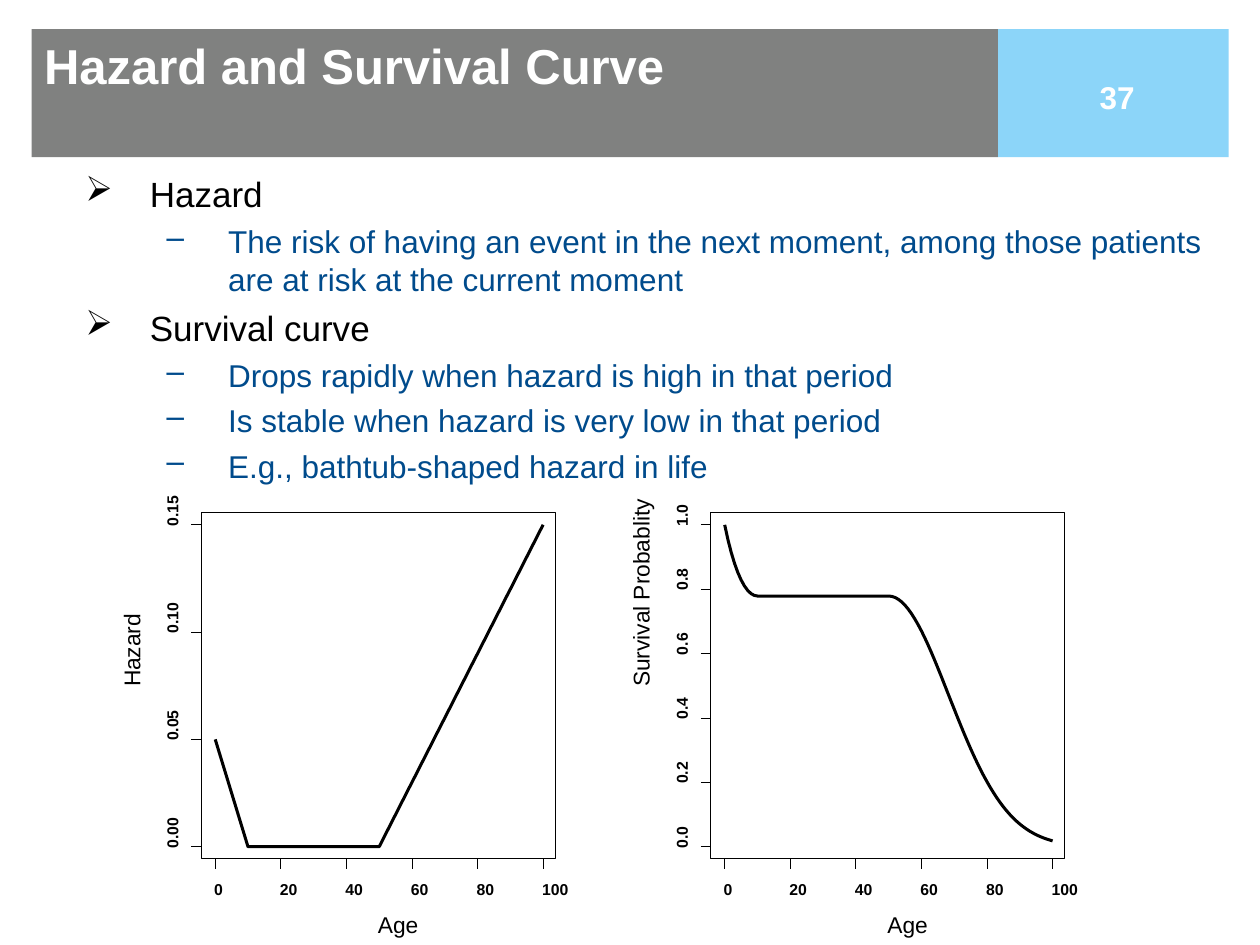
from dataclasses import dataclass
from itertools import accumulate
from math import exp

from lxml.etree import SubElement
from pptx import Presentation
from pptx.dml.color import RGBColor
from pptx.enum.shapes import MSO_CONNECTOR as CONN, MSO_SHAPE as SHAPE
from pptx.enum.text import MSO_ANCHOR as ANCHOR, PP_ALIGN as ALIGN
from pptx.oxml.ns import qn
from pptx.util import Cm, Pt

FONT = "Arial"
BLACK, WHITE, NAVY = "000000", "FFFFFF", "004B8C"
GRAY, SKY = "808180", "8CD5F9"

FRAME_TOP, FRAME_W, FRAME_H = 10.33, 7.14, 6.98
PAD, SPAN_X = 0.28, 6.61
ZERO_Y, SPAN_Y = 17.07, 6.49
TICK = 0.2
THIN, THICK = 0.58, 1.73


@dataclass
class Level:
    size: float
    color: str
    bullet: str
    margin: float
    indent: float


@dataclass
class Item:
    text: str
    level: int
    before: float


@dataclass
class Plot:
    left: float
    title: str
    values: list[float]
    ticks: list[str]


LEVELS = [
    Level(20, BLACK, "\u27a2", 1.32, -1.3),
    Level(18, NAVY, "\u2013", 2.9, -1.24),
]
ITEMS = [
    Item("Hazard", 0, 5.9),
    Item("The risk of having an event in the next moment, among those patients "
         "are at risk at the current moment", 1, 4.4),
    Item("Survival curve", 0, 4.8),
    Item("Drops rapidly when hazard is high in that period", 1, 4.4),
    Item("Is stable when hazard is very low in that period", 1, 4.3),
    Item("E.g., bathtub-shaped hazard in life", 1, 4.3),
]

AGES = range(101)
hazard = [max(0.05 - 0.005 * age, 0, 0.003 * (age - 50)) for age in AGES]
steps = [(a + b) / 2 for a, b in zip(hazard, hazard[1:])]
survival = [exp(-total) for total in accumulate(steps, initial=0)]

PLOTS = [
    Plot(4.06, "Hazard", hazard, [f"{i * 0.05:.2f}" for i in range(4)]),
    Plot(14.33, "Survival Probablity", survival, [f"{i * 0.2:.1f}" for i in range(6)]),
]


def rgb(color: str) -> RGBColor:
    return RGBColor.from_string(color)


def set_font(p, size: float, color: str, bold: bool = False) -> None:
    p.font.name, p.font.size, p.font.bold = FONT, Pt(size), bold
    p.font.color.rgb = rgb(color)


def prepare(sp, top: float = 0, left: float = 0):
    tf = sp.text_frame
    tf.word_wrap = True
    tf.margin_left, tf.margin_top = Cm(left), Cm(top)
    tf.margin_right = tf.margin_bottom = 0
    return tf


def set_line(sp, width: float) -> None:
    sp.line.color.rgb = rgb(BLACK)
    sp.line.width = Pt(width)


def add_banner(left: float, width: float, color: str):
    sp = slide.shapes.add_shape(SHAPE.RECTANGLE, Cm(left), Cm(0.59), Cm(width), Cm(2.58))
    sp.shadow.inherit = False
    sp.fill.solid()
    sp.fill.fore_color.rgb = rgb(color)
    sp.line.fill.background()
    return sp


def add_label(text: str, x: float, y: float, w: float, h: float,
              size: float, bold: bool, upright: bool = False) -> None:
    sp = slide.shapes.add_textbox(Cm(x), Cm(y), Cm(w), Cm(h))
    tf = prepare(sp)
    if upright:
        sp.element.txBody.bodyPr.set("vert", "vert270")
    p = tf.paragraphs[0]
    p.text = text
    set_font(p, size, BLACK, bold)


def add_rule(x1: float, y1: float, x2: float, y2: float) -> None:
    line = slide.shapes.add_connector(CONN.STRAIGHT, Cm(x1), Cm(y1), Cm(x2), Cm(y2))
    set_line(line, THIN)
    SubElement(line.element.spPr, qn("a:effectLst"))


def add_items(items: list[Item]) -> None:
    tf = prepare(slide.shapes.add_textbox(Cm(1.7), Cm(3.28), Cm(22.6), Cm(6.53)), 0.2)
    for i, item in enumerate(items):
        p = tf.add_paragraph() if i else tf.paragraphs[0]
        level = LEVELS[item.level]
        p.text, p.level, p.space_before = item.text, item.level, Pt(item.before)
        set_font(p, level.size, level.color)
        pPr = p._p.get_or_add_pPr()
        pPr.set("marL", str(Cm(level.margin)))
        pPr.set("indent", str(Cm(level.indent)))
        bullet = pPr.makeelement(qn("a:buChar"), {"char": level.bullet})
        pPr.find(qn("a:defRPr")).addprevious(bullet)


def add_plot(plot: Plot) -> None:
    x0, bottom = plot.left + PAD, FRAME_TOP + FRAME_H
    top_value = float(plot.ticks[-1])

    frame = slide.shapes.add_shape(
        SHAPE.RECTANGLE, Cm(plot.left), Cm(FRAME_TOP), Cm(FRAME_W), Cm(FRAME_H))
    frame.shadow.inherit = False
    frame.fill.background()
    set_line(frame, THIN)

    points = [(Cm(x0 + SPAN_X * age / 100), Cm(ZERO_Y - SPAN_Y * value / top_value))
              for age, value in zip(AGES, plot.values)]
    builder = slide.shapes.build_freeform(*points[0])
    builder.add_line_segments(points[1:], close=False)
    curve = builder.convert_to_shape()
    curve.shadow.inherit = False
    curve.fill.background()
    set_line(curve, THICK)

    for age in range(0, 101, 20):
        x = x0 + SPAN_X * age / 100
        add_rule(x, bottom, x, bottom + TICK)
        add_label(str(age), x - 0.02, 17.74, 0.7, 0.4, 9, True)
    for tick in plot.ticks:
        y = ZERO_Y - SPAN_Y * float(tick) / top_value
        add_rule(plot.left - TICK, y, plot.left, y)
        add_label(tick, plot.left - 0.78, y - 0.87, 0.43, 0.9, 9, True, True)
    add_label("Age", plot.left + 3.56, 18.36, 1.2, 0.58, 13, False)
    add_label(plot.title, plot.left - 1.69, 9.7, 0.58, 4.15, 13, False, True)


prs = Presentation()
prs.slide_width, prs.slide_height = Cm(25.4), Cm(19.05)
slide = prs.slides.add_slide(prs.slide_layouts[6])

number = prepare(add_banner(20.12, 4.65, SKY), 0.15, 0.15)
number.vertical_anchor = ANCHOR.MIDDLE
p = number.paragraphs[0]
p.text, p.alignment = "37", ALIGN.CENTER
set_font(p, 18, WHITE, True)

title = prepare(add_banner(0.64, 19.48, GRAY), 0.13, 0.25)
title.vertical_anchor = ANCHOR.TOP
p = title.paragraphs[0]
p.text, p.alignment, p.space_before = "Hazard and Survival Curve", ALIGN.LEFT, Pt(4)
set_font(p, 28, WHITE, True)

add_items(ITEMS)
for plot in PLOTS:
    add_plot(plot)

prs.save("out.pptx")
